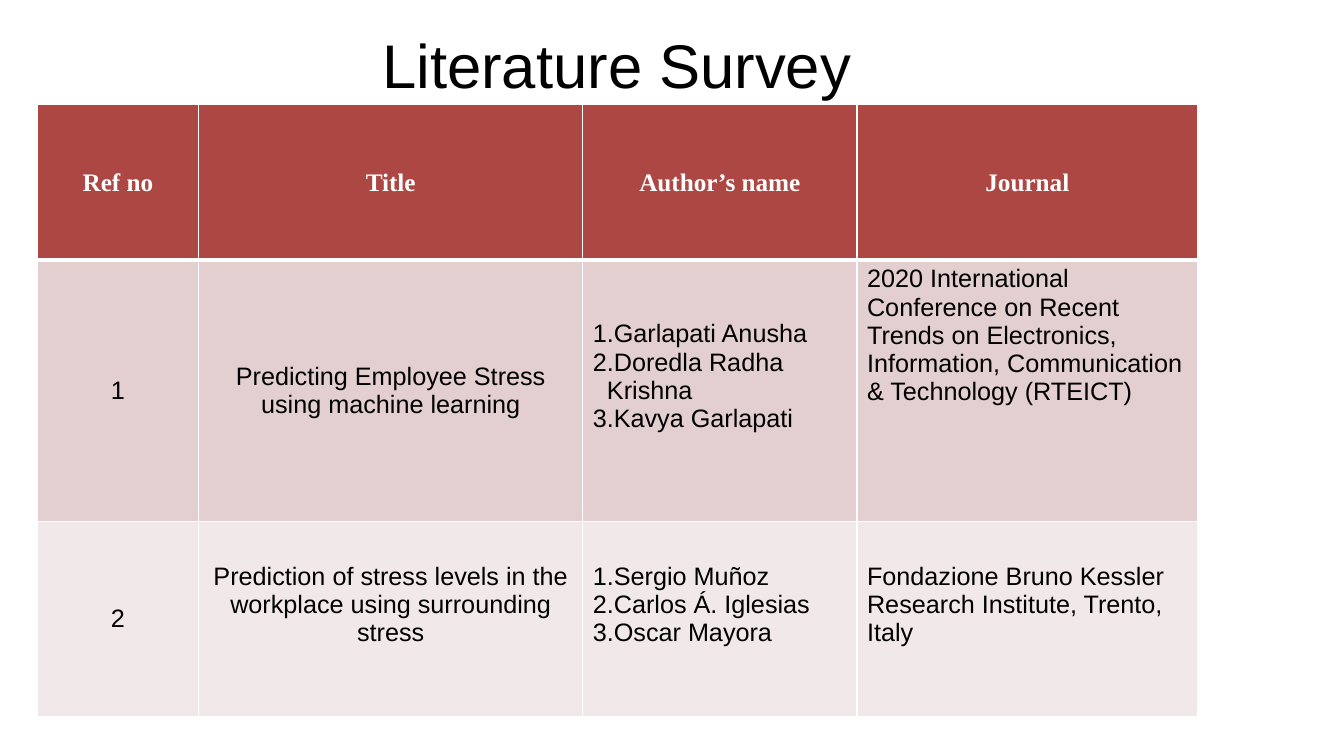
from dataclasses import dataclass

from pptx import Presentation
from pptx.dml.color import RGBColor
from pptx.enum.text import MSO_ANCHOR, PP_ALIGN
from pptx.oxml.ns import qn
from pptx.util import Inches, Pt
from lxml.etree import SubElement

WHITE = RGBColor(0xFF, 0xFF, 0xFF)
BLACK = RGBColor(0x00, 0x00, 0x00)
RED = RGBColor(0xAC, 0x47, 0x44)
ROSE = RGBColor(0xE3, 0xCF, 0xCF)
BLUSH = RGBColor(0xF1, 0xE9, 0xE9)

WIDTHS = (1.6, 3.81, 2.72, 3.38)
HEIGHTS = (1.54, 2.59, 1.94)
FILLS = (RED, ROSE, BLUSH)
PAD = 0.05
LIFT = 0.33  # bottom margin that raises centred text by half a line


@dataclass
class Entry:
    lines: list[str]
    align: PP_ALIGN = PP_ALIGN.CENTER
    anchor: MSO_ANCHOR = MSO_ANCHOR.MIDDLE
    bottom: float = PAD
    inset: int | None = None  # index of a line that continues the one above


LEFT = PP_ALIGN.LEFT
HEADS = ("Ref no", "Title", "Author’s name", "Journal")
ROWS = [
    [Entry([head]) for head in HEADS],
    [
        Entry(["1"]),
        Entry(["Predicting Employee Stress using machine learning"]),
        Entry(["1.Garlapati Anusha", "2.Doredla Radha", "Krishna",
               "3.Kavya Garlapati"], PP_ALIGN.JUSTIFY, bottom=LIFT, inset=2),
        Entry(["2020 International Conference on Recent Trends on Electronics, "
               "Information, Communication & Technology (RTEICT)"],
              LEFT, MSO_ANCHOR.TOP),
    ],
    [
        Entry(["2"]),
        Entry(["Prediction of stress levels in the workplace using "
               "surrounding stress"], bottom=LIFT),
        Entry(["1.Sergio Muñoz", "2.Carlos Á. Iglesias", "3.Oscar Mayora"],
              LEFT, bottom=LIFT),
        Entry(["Fondazione Bruno Kessler Research Institute, Trento, Italy"],
              LEFT, bottom=LIFT),
    ],
]


def add_run(para, text: str, size: int, face: str, color: RGBColor,
            bold: bool = False) -> None:
    run = para.add_run()
    run.text = text
    run.font.size = Pt(size)
    run.font.name = face
    run.font.color.rgb = color
    run.font.bold = bold


def set_edge(cell, side: str, width: float) -> None:
    """Draw a white border on one side; call before the cell is filled."""
    line = SubElement(cell._tc.get_or_add_tcPr(), qn(f"a:{side}"),
                      w=str(Pt(width)))
    fill = SubElement(line, qn("a:solidFill"))
    SubElement(fill, qn("a:srgbClr"), val=str(WHITE))


def fill_cell(cell, entry: Entry, row: int) -> None:
    head = row == 0
    for side in ("lnL", "lnR", "lnT", "lnB"):
        thick = (head and side == "lnB") or (row == 1 and side == "lnT")
        set_edge(cell, side, 3 if thick else 1)
    cell.fill.solid()
    cell.fill.fore_color.rgb = FILLS[row]
    cell.vertical_anchor = entry.anchor
    cell.margin_bottom = Inches(entry.bottom)
    frame = cell.text_frame
    for i, text in enumerate(entry.lines):
        para = frame.add_paragraph() if i else frame.paragraphs[0]
        para.alignment = entry.align
        if i == entry.inset:
            para._p.get_or_add_pPr().set("marL", str(Inches(0.14)))
        add_run(para, text, 18, "Times New Roman" if head else "Arial",
                WHITE if head else BLACK, head)


def add_title(slide) -> None:
    box = slide.shapes.add_textbox(Inches(0.37), Inches(0.23),
                                   Inches(11.5), Inches(0.8))
    frame = box.text_frame
    frame.word_wrap = True
    frame.vertical_anchor = MSO_ANCHOR.MIDDLE
    para = frame.paragraphs[0]
    para.alignment = PP_ALIGN.CENTER
    add_run(para, "Literature Survey", 44, "Arial", BLACK)


def add_survey(slide) -> None:
    table = slide.shapes.add_table(
        len(HEIGHTS), len(WIDTHS), Inches(0.37), Inches(1.04),
        Inches(sum(WIDTHS)), Inches(sum(HEIGHTS))).table
    for col, width in zip(table.columns, WIDTHS):
        col.width = Inches(width)
    for r, (height, entries) in enumerate(zip(HEIGHTS, ROWS)):
        table.rows[r].height = Inches(height)
        for c, entry in enumerate(entries):
            fill_cell(table.cell(r, c), entry, r)


def main() -> None:
    deck = Presentation()
    deck.slide_width = Inches(13.33)
    deck.slide_height = Inches(7.5)
    slide = deck.slides.add_slide(deck.slide_layouts[6])
    add_title(slide)
    add_survey(slide)
    deck.save("out.pptx")


if __name__ == "__main__":
    main()
